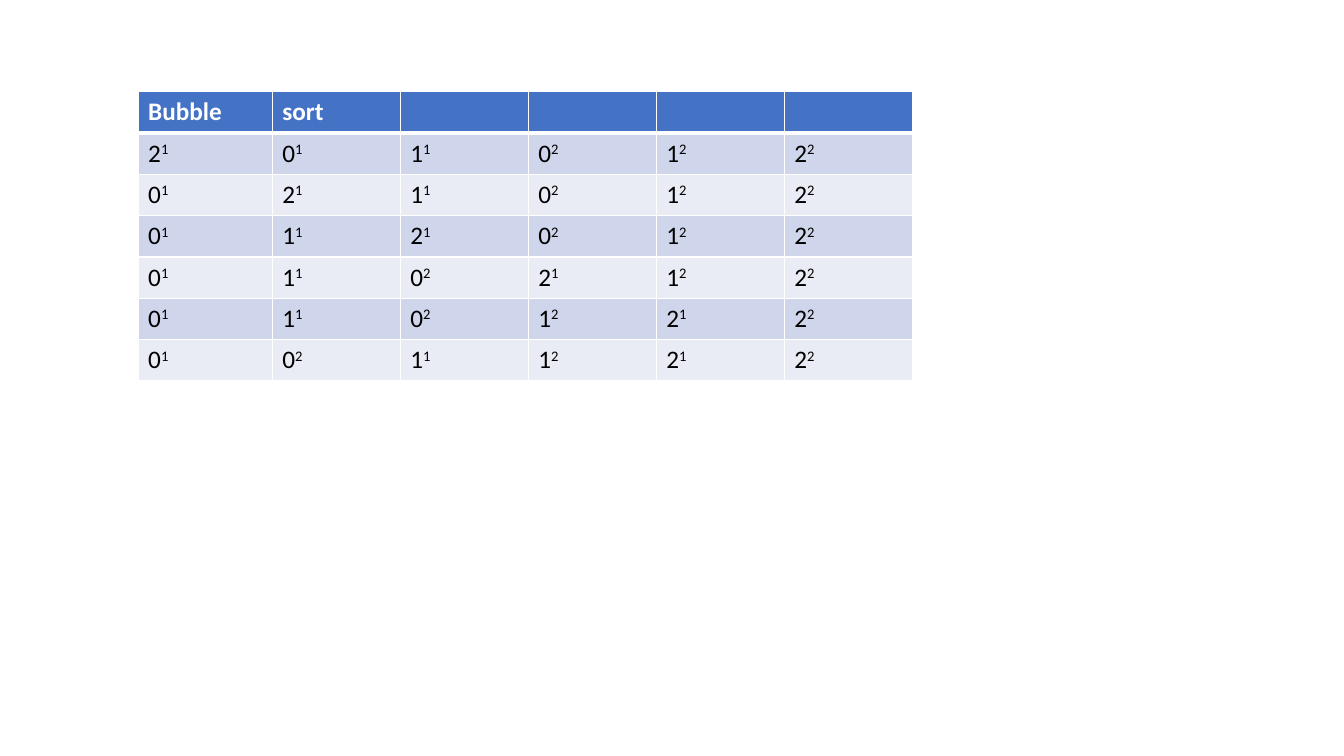
from lxml import etree
from pptx import Presentation
from pptx.dml.color import RGBColor
from pptx.oxml.ns import qn
from pptx.util import Inches, Pt

HEADER = ["Bubble", "sort", "", "", "", ""]
# Each item is (value, index); the index is set as a superscript.
SORT_STEPS = [
    [(2, 1), (0, 1), (1, 1), (0, 2), (1, 2), (2, 2)],
    [(0, 1), (2, 1), (1, 1), (0, 2), (1, 2), (2, 2)],
    [(0, 1), (1, 1), (2, 1), (0, 2), (1, 2), (2, 2)],
    [(0, 1), (1, 1), (0, 2), (2, 1), (1, 2), (2, 2)],
    [(0, 1), (1, 1), (0, 2), (1, 2), (2, 1), (2, 2)],
    [(0, 1), (0, 2), (1, 1), (1, 2), (2, 1), (2, 2)],
]

FONT = "Calibri"
WHITE = RGBColor(0xFF, 0xFF, 0xFF)
BLACK = RGBColor(0x00, 0x00, 0x00)
HEADER_BLUE = RGBColor(0x44, 0x72, 0xC4)
BANDS = [RGBColor(0xCF, 0xD5, 0xEA), RGBColor(0xE9, 0xEB, 0xF5)]

LEFT, TOP = 1.37, 0.91
COL_WIDTHS = [1.33] + [1.27] * 5
ROW_HEIGHT = 0.41
THIN, THICK = 1, 3


def set_borders(cell, top, bottom):
    """Give the cell white borders; top and bottom are widths in points."""
    tc_pr = cell._tc.get_or_add_tcPr()
    for side, width in (("L", THIN), ("R", THIN), ("T", top), ("B", bottom)):
        ln = etree.SubElement(tc_pr, qn(f"a:ln{side}"), w=str(Pt(width)))
        fill = etree.SubElement(ln, qn("a:solidFill"))
        etree.SubElement(fill, qn("a:srgbClr"), val=str(WHITE))


def style_cell(cell, fill, top=THIN, bottom=THIN):
    set_borders(cell, top, bottom)
    cell.fill.solid()
    cell.fill.fore_color.rgb = fill


def add_run(p, text, color, bold=False):
    r = p.add_run()
    r.text = text
    r.font.name = FONT
    r.font.size = Pt(18)
    r.font.bold = bold
    r.font.color.rgb = color
    return r


prs = Presentation()
prs.slide_width, prs.slide_height = Inches(13.33), Inches(7.5)
slide = prs.slides.add_slide(prs.slide_layouts[6])

row_count = len(SORT_STEPS) + 1
table = slide.shapes.add_table(
    row_count, len(HEADER), Inches(LEFT), Inches(TOP),
    Inches(sum(COL_WIDTHS)), Inches(ROW_HEIGHT * row_count)).table
for column, width in zip(table.columns, COL_WIDTHS):
    column.width = Inches(width)
for row in table.rows:
    row.height = Inches(ROW_HEIGHT)

for col, title in enumerate(HEADER):
    cell = table.cell(0, col)
    style_cell(cell, HEADER_BLUE, bottom=THICK)
    if title:
        add_run(cell.text_frame.paragraphs[0], title, WHITE, bold=True)

for step, items in enumerate(SORT_STEPS):
    for col, (value, index) in enumerate(items):
        cell = table.cell(step + 1, col)
        style_cell(cell, BANDS[step % 2], top=THIN if step else THICK)
        p = cell.text_frame.paragraphs[0]
        add_run(p, str(value), BLACK)
        superscript = add_run(p, str(index), BLACK)
        superscript.font._element.set("baseline", "30000")

prs.save("out.pptx")
